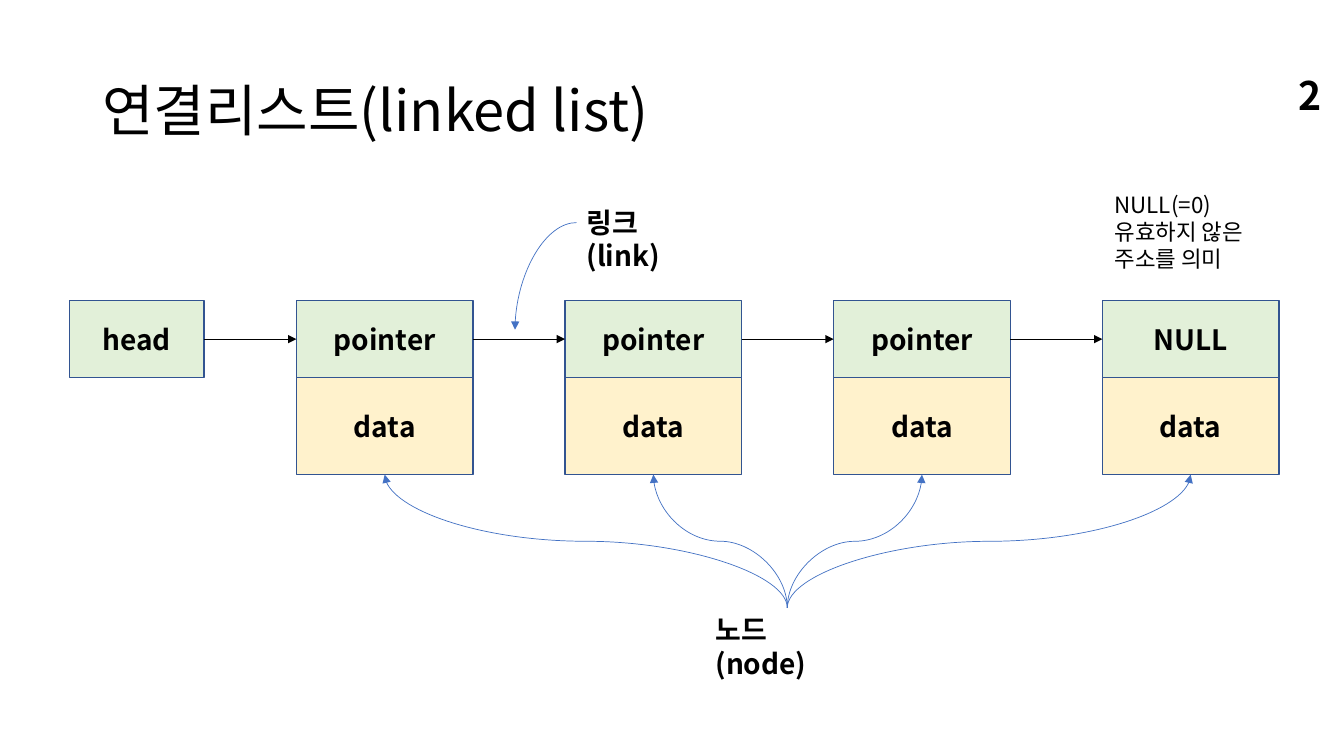
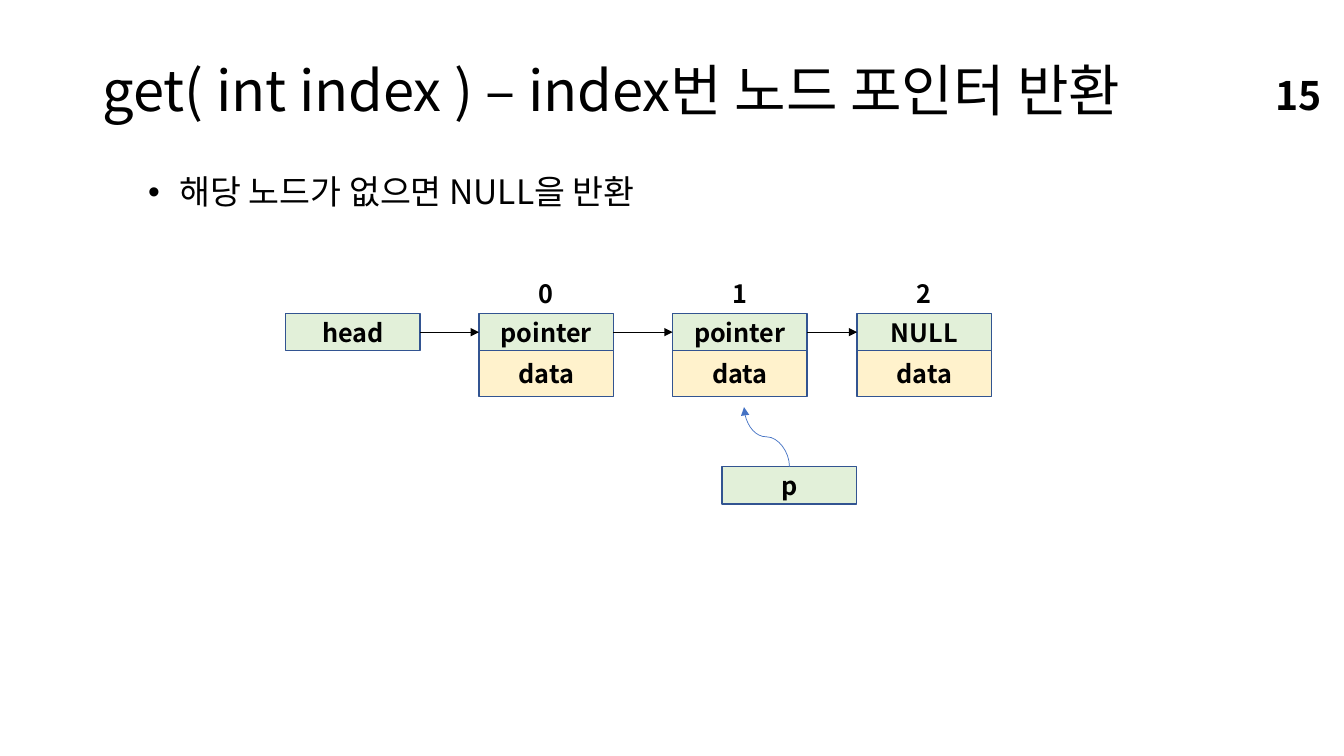
from dataclasses import dataclass
from typing import Any

import pptx
import pptx.dml.color
import pptx.enum.shapes
import pptx.enum.text
import pptx.oxml.ns
import pptx.util
from lxml import etree
from pptx.util import Cm

ALIGN = pptx.enum.text.PP_ALIGN
ANCHOR = pptx.enum.text.MSO_ANCHOR
CONNECTOR = pptx.enum.shapes.MSO_CONNECTOR
TITLE_AND_CONTENT, TITLE_ONLY = 1, 5
LEFT_SITE, RIGHT_SITE = 1, 3


@dataclass(frozen=True)
class Theme:
    font: str = "Noto Sans CJK KR"
    text: str = "000000"
    pointer: str = "E2F0D9"
    data: str = "FFF2CC"
    outline: str = "325491"
    arrow: str = "000000"
    curve: str = "4472C4"
    title_size: int = 40
    number_size: int = 28
    list_size: int = 24
    diagram_size: int = 20
    small_size: int = 18
    note_size: int = 16


THEME = Theme()


@dataclass(frozen=True)
class NodeStyle:
    """Sizes, in cm, shared by the nodes of one diagram."""
    top: float
    width: float
    pointer_height: float
    data_height: float
    text_size: int

    @property
    def bottom(self) -> float:
        return self.top + self.pointer_height + self.data_height


@dataclass(frozen=True)
class Node:
    left: float
    label: str = "pointer"


def rgb(color: str) -> pptx.dml.color.RGBColor:
    return pptx.dml.color.RGBColor.from_string(color)


def add_xml(parent: Any, tag: str, **attributes: str) -> None:
    etree.SubElement(parent, pptx.oxml.ns.qn(tag), attributes)


def write_text(tf: Any, text: str, *, size: int, bold: bool = False,
               align: Any = ALIGN.LEFT, anchor: Any = ANCHOR.TOP,
               wrap: bool = True, line_spacing: float = 1.0,
               bullet_indent: float = 0) -> None:
    """Write one paragraph per line of text; bullet_indent is in cm."""
    tf.auto_size = pptx.enum.text.MSO_AUTO_SIZE.NONE
    tf.word_wrap = wrap
    tf.vertical_anchor = anchor
    for i, line in enumerate(text.split("\n")):
        p = tf.add_paragraph() if i else tf.paragraphs[0]
        p.alignment = align
        p.line_spacing = line_spacing
        p.space_before = pptx.util.Pt(0)
        if bullet_indent:
            pPr = p._p.get_or_add_pPr()
            pPr.set("marL", str(Cm(bullet_indent)))
            pPr.set("indent", str(-Cm(bullet_indent)))
            add_xml(pPr, "a:buChar", char="•")
        r = p.add_run()
        r.text = line
        r.font.size = pptx.util.Pt(size)
        r.font.bold = bold
        r.font.color.rgb = rgb(THEME.text)
        r.font.name = THEME.font
        add_xml(r._r.get_or_add_rPr(), "a:ea", typeface=THEME.font)


def place(sp: Any, left: float, top: float, width: float, height: float) -> None:
    sp.left, sp.top, sp.width, sp.height = map(Cm, (left, top, width, height))


def add_label(s: Any, text: str, left: float, top: float, width: float,
              height: float, **text_format: Any) -> None:
    sp = s.shapes.add_textbox(Cm(left), Cm(top), Cm(width), Cm(height))
    write_text(sp.text_frame, text, **text_format)


def add_box(s: Any, text: str, left: float, top: float, width: float,
            height: float, fill: str, size: int) -> Any:
    sp = s.shapes.add_shape(pptx.enum.shapes.MSO_SHAPE.RECTANGLE,
                            Cm(left), Cm(top), Cm(width), Cm(height))
    sp.shadow.inherit = False
    sp.fill.solid()
    sp.fill.fore_color.rgb = rgb(fill)
    sp.line.color.rgb = rgb(THEME.outline)
    sp.line.width = pptx.util.Pt(1)
    write_text(sp.text_frame, text, size=size, bold=True,
               align=ALIGN.CENTER, anchor=ANCHOR.MIDDLE)
    return sp


def add_arrow(s: Any, kind: Any, x1: float, y1: float, x2: float, y2: float,
              color: str) -> Any:
    cxn = s.shapes.add_connector(kind, Cm(x1), Cm(y1), Cm(x2), Cm(y2))
    cxn.line.color.rgb = rgb(color)
    cxn.line.width = pptx.util.Pt(0.5)
    add_xml(cxn.line._get_or_add_ln(), "a:tailEnd", type="triangle")
    add_xml(cxn._element.spPr, "a:effectLst")
    return cxn


def add_rising_curve(s: Any, x1: float, y1: float, x2: float, y2: float) -> None:
    """Draw an S-curve that leaves upwards: a sideways curve turned by 270°."""
    cx, cy = (x1 + x2) / 2, (y1 + y2) / 2
    rise, run = y1 - y2, x2 - x1
    cxn = add_arrow(s, CONNECTOR.CURVE, cx - rise / 2, cy - run / 2,
                    cx + rise / 2, cy + run / 2, THEME.curve)
    cxn._element.spPr.xfrm.set("rot", str(270 * 60000))


def add_quarter_curve(s: Any, x1: float, y1: float, x2: float, y2: float) -> None:
    cxn = add_arrow(s, CONNECTOR.CURVE, x1, y1, x2, y2, THEME.curve)
    cxn._element.spPr.prstGeom.set("prst", "curvedConnector2")


def add_linked_list(s: Any, head_left: float, head_width: float,
                    nodes: list[Node], style: NodeStyle) -> None:
    """Draw the head box and the nodes, each joined to the one before."""
    previous = add_box(s, "head", head_left, style.top, head_width,
                       style.pointer_height, THEME.pointer, style.text_size)
    for node in nodes:
        add_box(s, "data", node.left, style.top + style.pointer_height,
                style.width, style.data_height, THEME.data, style.text_size)
        box = add_box(s, node.label, node.left, style.top, style.width,
                      style.pointer_height, THEME.pointer, style.text_size)
        cxn = add_arrow(s, CONNECTOR.STRAIGHT, 0, 0, 1, 1, THEME.arrow)
        cxn.begin_connect(previous, RIGHT_SITE)
        cxn.end_connect(box, LEFT_SITE)
        previous = box


def new_slide(prs: Any, layout: int, title: str, title_height: float,
              number: int) -> Any:
    s = prs.slides.add_slide(prs.slide_layouts[layout])
    place(s.shapes.title, 2.33, 1.01, 29.21, title_height)
    write_text(s.shapes.title.text_frame, title, size=THEME.title_size,
               anchor=ANCHOR.MIDDLE, line_spacing=0.9)
    add_label(s, str(number), 25.32, 1.88, 8.23, 1.02, size=THEME.number_size,
              bold=True, align=ALIGN.RIGHT, anchor=ANCHOR.MIDDLE)
    return s


def build_linked_list_slide(prs: Any) -> None:
    s = new_slide(prs, TITLE_ONLY, "연결리스트(linked list)", 3.68, 2)
    style = NodeStyle(7.57, 4.45, 1.95, 2.44, THEME.diagram_size)
    labels = ["pointer"] * 3 + ["NULL"]
    nodes = [Node(7.47 + 6.77 * i, label) for i, label in enumerate(labels)]
    add_linked_list(s, 1.75, 3.39, nodes, style)

    for node in nodes:
        add_rising_curve(s, 19.84, 15.32, node.left + style.width / 2, style.bottom)
    add_quarter_curve(s, 14.53, 5.61, 12.98, 8.31)

    for text, left, top in (("노드(node)", 17.78, 15.32), ("링크(link)", 14.53, 5.05)):
        add_label(s, text, left, top, 3.1, 2, size=THEME.diagram_size, bold=True)
    add_label(s, "NULL(=0)\n유효하지 않은\n주소를 의미", 27.84, 4.7, 4.34, 2.31,
              size=THEME.note_size, wrap=False)


def build_get_slide(prs: Any) -> None:
    s = new_slide(prs, TITLE_AND_CONTENT,
                  "get( int index ) – index번 노드 포인터 반환", 2.67, 15)
    body = s.placeholders[1]
    place(body, 3.48, 4.19, 23.01, 1.27)
    write_text(body.text_frame, "해당 노드가 없으면 NULL을 반환",
               size=THEME.list_size, bullet_indent=0.79)

    style = NodeStyle(7.9, 3.39, 0.94, 1.15, THEME.small_size)
    nodes = [Node(12.07), Node(16.95), Node(21.6, "NULL")]
    add_linked_list(s, 7.2, style.width, nodes, style)
    label_width = 1.32
    for i, node in enumerate(nodes):
        add_label(s, str(i), node.left + (style.width - label_width) / 2, 6.9,
                  label_width, 1.02, size=THEME.small_size, bold=True,
                  align=ALIGN.CENTER)

    p_left, p_top = 18.2, 11.76
    add_box(s, "p", p_left, p_top, style.width, style.pointer_height,
            THEME.pointer, THEME.small_size)
    add_rising_curve(s, p_left + style.width / 2, p_top, 18.75, 10.26)


def main() -> None:
    prs = pptx.Presentation()
    prs.slide_width, prs.slide_height = Cm(33.87), Cm(19.05)
    build_linked_list_slide(prs)
    build_get_slide(prs)
    prs.save("out.pptx")


if __name__ == "__main__":
    main()
